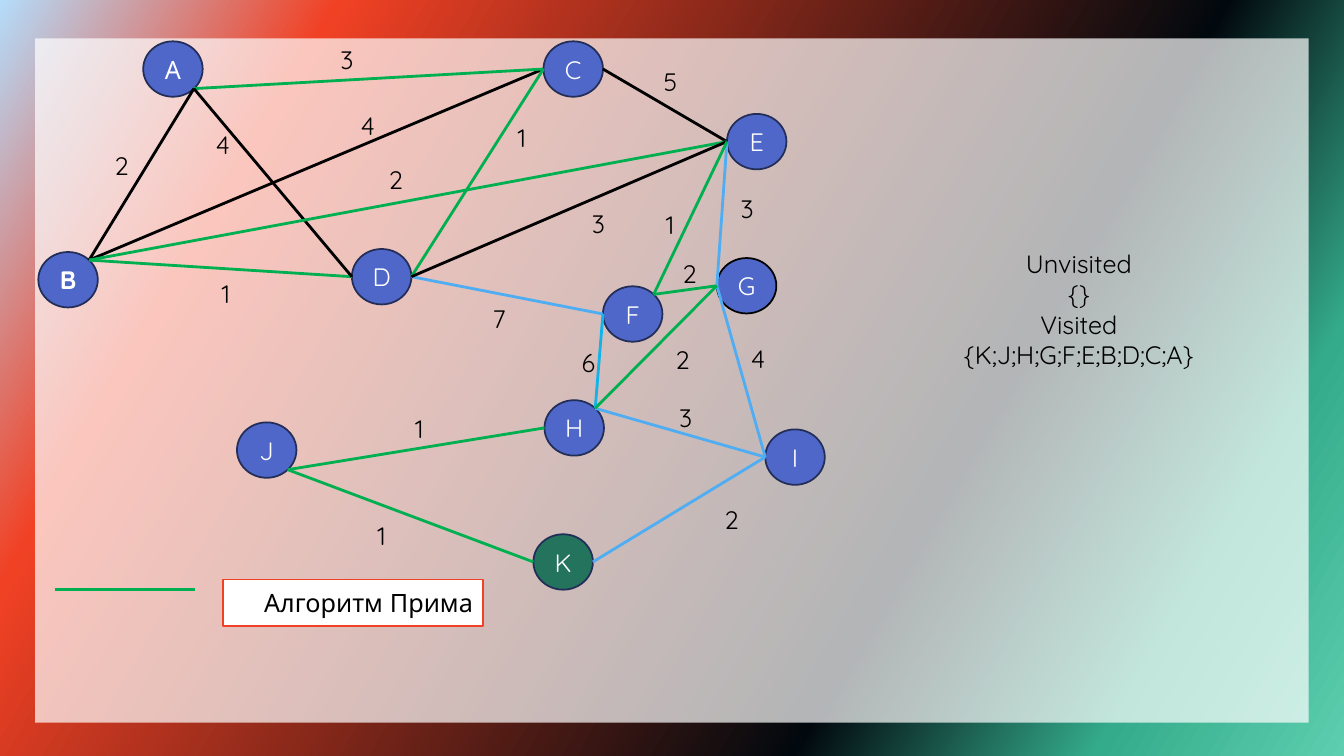
from lxml.etree import SubElement
from pptx import Presentation
from pptx.dml.color import RGBColor
from pptx.enum.shapes import MSO_CONNECTOR, MSO_SHAPE
from pptx.enum.text import MSO_ANCHOR, PP_ALIGN
from pptx.oxml.ns import qn
from pptx.util import Inches, Pt
from math import cos, radians, sin

CELL = Inches(0.1)  # the page is a grid of 133.3 columns by 75 rows
WHITE = RGBColor(0xFF, 0xFF, 0xFF)
BLACK = RGBColor(0x00, 0x00, 0x00)
BLUE = RGBColor(0x4E, 0x67, 0xC8)
NAVY = RGBColor(0x22, 0x2D, 0x58)
TEAL = RGBColor(0x23, 0x73, 0x5D)
GREEN = RGBColor(0x00, 0xB0, 0x50)
SKY = RGBColor(0x4F, 0xAD, 0xF3)
CYAN = RGBColor(0x12, 0xB2, 0xEB)
RED = RGBColor(0xF1, 0x41, 0x24)
BACKGROUND = [
    (0, RGBColor(0x5D, 0xCE, 0xAF)),
    (14, RGBColor(0x34, 0xAC, 0x8B)),
    (31, RGBColor(0x02, 0x09, 0x0E)),
    (81, RED),
    (100, RGBColor(0xB4, 0xDC, 0xFA)),
]

NODE_WIDTH, NODE_HEIGHT = 5.9, 5.5
NODES = {  # column and row inside the graph
    "А": (10.4, 0), "G": (67.3, 21.5), "K": (49.1, 48.9), "D": (31.1, 20.6),
    "B": (0, 20.9), "C": (50.1, 0), "J": (19.7, 37.8), "H": (50.2, 35.6),
    "E": (68.3, 7.2), "F": (56, 24.3), "I": (72.1, 38.5),
}
# Connection sites of an ellipse run counterclockwise from the top
LEFT, LOWER_RIGHT, RIGHT, UPPER_RIGHT = 2, 5, 6, 7
EDGES = [  # start, site, end, site, colour, weight, box of the weight
    ("А", LOWER_RIGHT, "B", UPPER_RIGHT, BLACK, 2, (6.5, 10.6, 3.5, 3.4)),
    ("B", UPPER_RIGHT, "C", LEFT, BLACK, 4, (30.7, 7, 4, 2.6)),
    ("А", LOWER_RIGHT, "C", LEFT, GREEN, 3, (28.6, 0, 4, 3.5)),
    ("C", RIGHT, "E", LEFT, BLACK, 5, (61, 2.7, 3.4, 2.5)),
    ("B", UPPER_RIGHT, "D", LEFT, GREEN, 1, (17, 23.4, 3.2, 3.3)),
    ("C", LEFT, "D", RIGHT, GREEN, 1, (46.5, 9.1, 2.9, 0.8)),
    ("D", RIGHT, "F", LEFT, SKY, 7, (43.8, 26.1, 3.8, 2.7)),
    ("G", LEFT, "F", UPPER_RIGHT, GREEN, 2, (62.9, 22.2, 3.4, 1.6)),
    ("G", LEFT, "I", LEFT, SKY, 4, (70, 30.1, 2.8, 2.8)),
    ("G", LEFT, "E", LEFT, SKY, 3, (68.8, 15.1, 3, 2.9)),
    ("H", UPPER_RIGHT, "F", LEFT, CYAN, 6, (53.7, 30.9, 1.7, 2)),
    ("H", LEFT, "J", LOWER_RIGHT, GREEN, 1, (35.8, 37.6, 4, 1.6)),
    ("I", LEFT, "K", RIGHT, SKY, 2, (67.3, 46.9, 2.9, 1.1)),
    ("J", LOWER_RIGHT, "K", LEFT, GREEN, 1, (31.1, 46.9, 5.9, 4.3)),
    ("А", LOWER_RIGHT, "D", LEFT, BLACK, 4, (17, 9.1, 2.6, 2.2)),
    ("B", UPPER_RIGHT, "E", LEFT, GREEN, 2, (34, 12.7, 2.9, 1.9)),
    ("D", RIGHT, "E", LEFT, BLACK, 3, (53.2, 17.4, 4.7, 1.4)),
    ("E", LEFT, "F", UPPER_RIGHT, GREEN, 1, (61.8, 17.5, 1.7, 1.4)),
    ("H", UPPER_RIGHT, "I", LEFT, SKY, 3, (62.1, 35.6, 4.2, 3.4)),
    ("H", UPPER_RIGHT, "G", LEFT, GREEN, 2, (62.7, 30.9, 2.4, 1.4)),
]


def cells(*counts):
    return [round(count * CELL) for count in counts]


def write(shape, text, color=BLACK, bold=None, align=PP_ALIGN.CENTER, wrap=False, inset=0):
    frame = shape.text_frame
    frame.word_wrap = wrap
    frame.vertical_anchor = MSO_ANCHOR.MIDDLE
    frame.margin_left = frame.margin_right = Inches(inset)
    frame.margin_top = frame.margin_bottom = 0
    para = frame.paragraphs[0]
    para.text = text
    para.alignment = align
    for span in para.runs:
        span.font.name = "Quicksand"
        span.font.size = Pt(18)
        span.font.bold = bold
        span.font.color.rgb = color


def add_figure(page, kind, box, fill, line=None):
    shape = page.shapes.add_shape(kind, *cells(*box))
    shape.shadow.inherit = False
    shape.fill.solid()
    shape.fill.fore_color.rgb = fill
    if line is None:
        shape.line.fill.background()
    else:
        shape.line.color.rgb = line
        shape.line.width = Pt(1.25)
    return shape


def add_line(page, start, end, color):
    line = page.shapes.add_connector(MSO_CONNECTOR.STRAIGHT, *cells(*start, *end))
    line.line.color.rgb = color
    line.line.width = Pt(2)
    SubElement(line._element.spPr, qn("a:effectLst"))
    return line


def add_label(page, box, text, **style):
    write(page.shapes.add_textbox(*cells(*box)), text, **style)


def site_point(left, top, name, site):
    """Return the column and row of a connection site on a node."""
    column, row = NODES[name]
    angle = radians(90 + 45 * site)
    return (left + column + NODE_WIDTH / 2 * (1 + cos(angle)),
            top + row + NODE_HEIGHT / 2 * (1 - sin(angle)))


def paint_background(page):
    fill = page.background.fill
    fill.gradient()
    fill.gradient_angle = 150
    stops = page._element.xpath(".//p:bg//a:gsLst")[0]
    for stop in list(stops):
        stops.remove(stop)
    for percent, color in BACKGROUND:
        stop = SubElement(stops, qn("a:gs"), pos=str(percent * 1000))
        SubElement(stop, qn("a:srgbClr"), val=str(color))


def add_panel(page, box):
    panel = add_figure(page, MSO_SHAPE.RECTANGLE, box, WHITE)
    color = panel._element.spPr.find(qn("a:solidFill"))[0]
    SubElement(color, qn("a:alpha"), val="70000")


def add_graph(page, left, top):
    circles = {}
    for name, (column, row) in NODES.items():
        box = (left + column, top + row, NODE_WIDTH, NODE_HEIGHT)
        circles[name] = add_figure(page, MSO_SHAPE.OVAL, box,
                                   TEAL if name == "K" else BLUE,
                                   BLACK if name == "G" else NAVY)
        write(circles[name], name, color=WHITE, bold=name == "B")
    for start, start_site, end, end_site, color, weight, place in EDGES:
        line = add_line(page, site_point(left, top, start, start_site),
                        site_point(left, top, end, end_site), color)
        joints = line._element.xpath("./p:nvCxnSpPr/p:cNvCxnSpPr")[0]
        for tag, name, site in (("a:stCxn", start, start_site), ("a:endCxn", end, end_site)):
            SubElement(joints, qn(tag), id=str(circles[name].shape_id), idx=str(site))
        column, row, width, height = place
        add_label(page, (left + column, top + row, width, height), str(weight))


def add_legend(page, left, top, width, height):
    line_row = top + 1
    add_line(page, (left, line_row), (left + 13.8, line_row), GREEN)
    name_column = 16.6
    box = (left + name_column, top, width - name_column, height)
    caption = add_figure(page, MSO_SHAPE.RECTANGLE, box, WHITE, RED)
    write(caption, "Алгоритм Прима", align=PP_ALIGN.RIGHT, wrap=True, inset=0.1)


def main():
    deck = Presentation()
    deck.slide_width, deck.slide_height = cells(133.3, 75)
    page = deck.slides.add_slide(deck.slide_layouts[6])
    paint_background(page)
    add_panel(page, (3.5, 3.8, 126.3, 67.9))
    add_graph(page, 3.8, 4.1)
    add_legend(page, 5.5, 57.5, 42.4, 4.6)
    add_label(page, (87.3, 7.6, 39.4, 46.1),
              "Unvisited\n{}\nVisited\n{K;J;H;G;F;E;B;D;C;A}", wrap=True, inset=0.1)
    deck.save("out.pptx")


if __name__ == "__main__":
    main()
